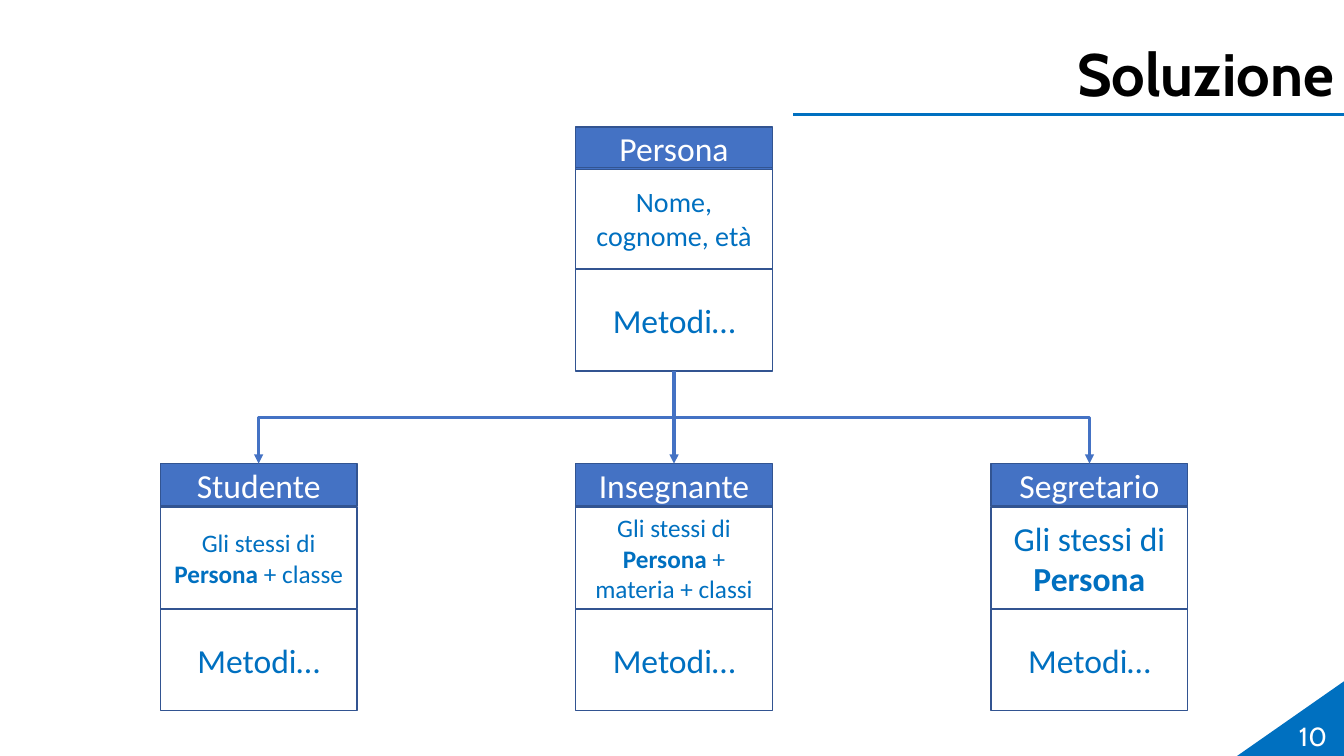
from lxml.etree import SubElement
from pptx import Presentation
from pptx.dml.color import RGBColor
from pptx.enum.shapes import MSO_CONNECTOR as Connector, MSO_SHAPE as Shape
from pptx.enum.text import MSO_ANCHOR as Anchor, PP_ALIGN as Align
from pptx.oxml.ns import qn
from pptx.util import Inches, Pt

COLORS = {
    "accent": "0070C0",
    "header": "4472C4",
    "border": "325491",
    "white": "FFFFFF",
    "black": "000000",
}
BOX_WIDTH, HEADER_HEIGHT, BODY_HEIGHT = 1.95, 0.42, 1.01
FIRST_COLUMN, COLUMN_STEP = 1.59, 4.12
PARENT_TOP, CHILD_TOP = 1.26, 4.6
BOTTOM_SITE, TOP_SITE = 2, 0

# Class name, attribute runs as (text, bold), attribute text size
CHILDREN = [
    ("Studente", [("Gli stessi di ", False), ("Persona", True), (" + classe", False)], 18),
    ("Insegnante", [("Gli stessi di ", False), ("Persona", True),
                    (" + materia + classi", False)], 18),
    ("Segretario", [("Gli stessi di ", False), ("Persona", True)], 24),
]


def color(name):
    return RGBColor.from_string(COLORS[name])


class ClassDiagram:
    """Draws the parts of a class diagram on one slide."""

    def __init__(self, slide):
        self.shapes = slide.shapes

    def set_text(self, shape, runs, size, font_name, color_name, align):
        frame = shape.text_frame
        frame.word_wrap = True
        frame.vertical_anchor = Anchor.MIDDLE
        paragraph = frame.paragraphs[0]
        paragraph.alignment = align
        paragraph.font.size = Pt(size)
        paragraph.font.name = font_name
        paragraph.font.color.rgb = color(color_name)
        for text, bold in runs:
            run = paragraph.add_run()
            run.text = text
            if bold:
                run.font.bold = True
        return paragraph

    def label(self, text, left, top, width, height, size, color_name, bold=False):
        """Add a right-aligned text box in the heading font."""
        box = self.shapes.add_textbox(*map(Inches, (left, top, width, height)))
        return self.set_text(box, [(text, bold)], size, "Cabin", color_name, Align.RIGHT)

    def corner(self, left, top, width, height):
        triangle = self.shapes.add_shape(
            Shape.RIGHT_TRIANGLE, *map(Inches, (left, top, width, height)))
        triangle.shadow.inherit = False
        triangle.fill.solid()
        triangle.fill.fore_color.rgb = color("accent")
        triangle.line.fill.background()
        triangle._element.spPr.find(qn("a:xfrm")).set("flipH", "1")

    def connector(self, kind, color_name, points=(0, 0, 0, 0)):
        connector = self.shapes.add_connector(kind, *map(Inches, points))
        connector.line.color.rgb = color(color_name)
        connector.line.width = Pt(2.25)
        SubElement(connector._element.spPr, qn("a:effectLst"))
        return connector

    def cell(self, left, top, height, runs, size, is_header=False):
        box = self.shapes.add_shape(
            Shape.RECTANGLE, *map(Inches, (left, top, BOX_WIDTH, height)))
        box.shadow.inherit = False
        if is_header:
            box.fill.solid()
            box.fill.fore_color.rgb = color("header")
        else:
            box.fill.background()
        box.line.color.rgb = color("border")
        box.line.width = Pt(1)
        self.set_text(box, runs, size, "Calibri",
                      "white" if is_header else "accent", Align.CENTER)
        return box

    def class_box(self, column, top, body_offset, name, attributes, size):
        """Stack name, attributes and methods; return the first and last cell."""
        left = FIRST_COLUMN + column * COLUMN_STEP
        body_top = top + body_offset
        header = self.cell(left, top, HEADER_HEIGHT, [(name, False)], 24, is_header=True)
        self.cell(left, body_top, BODY_HEIGHT, attributes, size)
        methods = self.cell(left, body_top + BODY_HEIGHT, BODY_HEIGHT,
                            [("Metodi…", False)], 24)
        return header, methods

    def inheritance_arrow(self, parent, child):
        """Join parent to child with an elbow that leaves downwards."""
        arrow = self.connector(Connector.ELBOW, "header")
        arrow.begin_connect(parent, BOTTOM_SITE)
        arrow.end_connect(child, TOP_SITE)
        run_x = arrow.end_x - arrow.begin_x
        drop = arrow.end_y - arrow.begin_y
        center_x = (arrow.begin_x + arrow.end_x) // 2
        center_y = (arrow.begin_y + arrow.end_y) // 2
        # The elbow is laid out sideways, then turned a quarter about its centre
        arrow.left, arrow.top = center_x - drop // 2, center_y - abs(run_x) // 2
        arrow.width, arrow.height = drop, abs(run_x)
        goes_right = run_x > 0
        frame = arrow._element.spPr.find(qn("a:xfrm"))
        frame.set("rot", str((270 if goes_right else 90) * 60000))
        frame.set("flipH", "1" if goes_right else "0")
        SubElement(arrow.line._get_or_add_ln(), qn("a:tailEnd"), type="triangle")


def main():
    presentation = Presentation()
    presentation.slide_width = Inches(13.33)
    presentation.slide_height = Inches(7.5)
    diagram = ClassDiagram(presentation.slides.add_slide(presentation.slide_layouts[6]))

    diagram.corner(12.27, 6.76, 1.06, 0.74)
    diagram.connector(Connector.STRAIGHT, "accent", (7.87, 1.14, 13.33, 1.14))
    title = diagram.label("Soluzione", 0, 0.4, 13.33, 0.74, 42.7, "black", bold=True)
    title.line_spacing = 0.9
    diagram.label("10", 10.26, 7.1, 3, 0.4, 18.7, "white")

    headers = [diagram.class_box(column, CHILD_TOP, 0.43, *child)[0]
               for column, child in enumerate(CHILDREN)]
    _, parent = diagram.class_box(1, PARENT_TOP, 0.4, "Persona",
                                  [("Nome, cognome, età", False)], 20)
    for header in headers:
        diagram.inheritance_arrow(parent, header)

    presentation.save("out.pptx")


if __name__ == "__main__":
    main()
